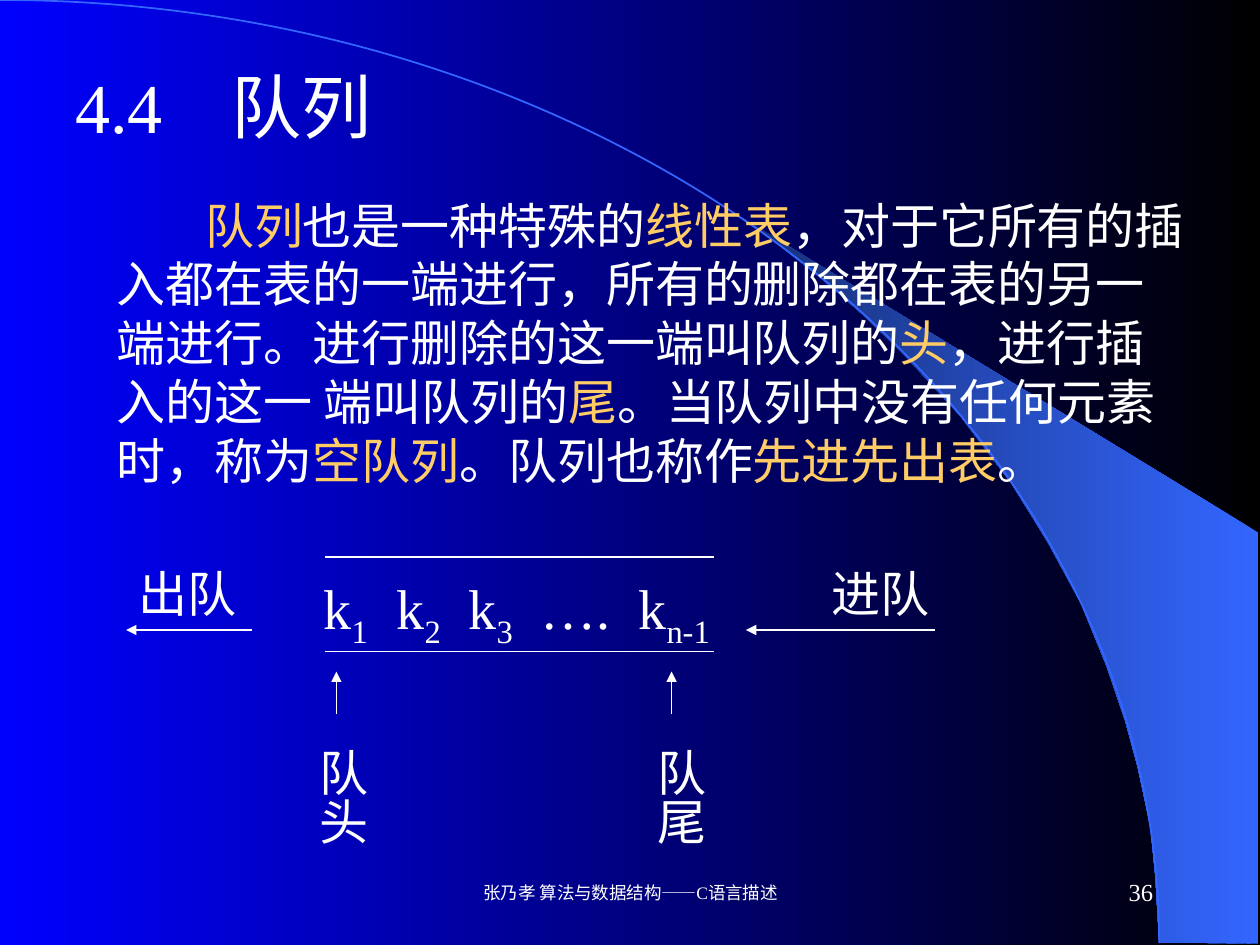
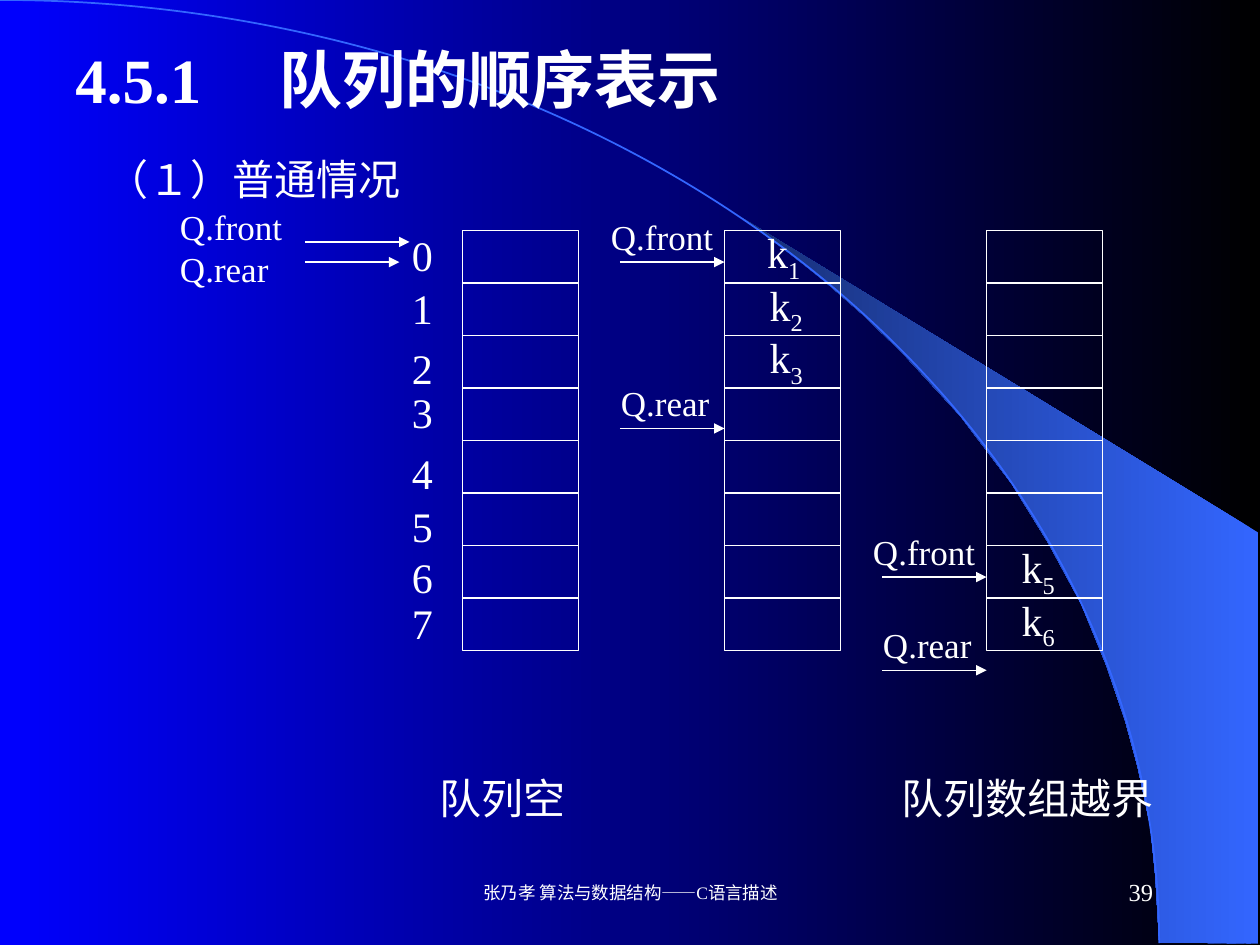
from pptx import Presentation, util as u
from pptx.dml.color import RGBColor
from pptx.enum import shapes, text as t
from pptx.oxml.ns import qn
from lxml import etree

HUES = {"white": "FFFFFF", "gold": "FFCC66", "sky": "3366FF",
        "navy": "172F75", "black": "000000", "blue": "0000FF"}
FONT = "Times New Roman"
HAIR = 0.74


def hue(name):
    return RGBColor.from_string(HUES[name])


def write(page, words, left, top, wide, high, size=28, bold=False, mark="gold",
          align="LEFT", mid=False, wrap=True, down=False, tabs=(), indent=0):
    """Add a text box; pieces between bars are gold, or subscripts if mark is "sub"."""
    box = page.shapes.add_textbox(*map(u.Inches, (left, top, wide, high)))
    frame = box.text_frame
    frame.word_wrap = wrap
    if mid:
        frame.vertical_anchor = t.MSO_ANCHOR.MIDDLE
    if down:
        frame._txBody.bodyPr.set("vert", "eaVert")
        frame.margin_left = frame.margin_right = u.Inches(0.05)
        frame.margin_top = frame.margin_bottom = u.Inches(0.1)
    for n, row in enumerate(words.split("\n")):
        para = frame.add_paragraph() if n else frame.paragraphs[0]
        para.alignment = getattr(t.PP_ALIGN, align)
        props = para._p.get_or_add_pPr()
        if indent:
            props.set("indent", str(u.Inches(indent)))
        if tabs:
            stops = etree.SubElement(props, qn("a:tabLst"))
            for stop in tabs:
                etree.SubElement(stops, qn("a:tab"), pos=str(u.Inches(stop)), algn="l")
        for i, piece in enumerate(row.split("|")):
            if not piece:
                continue
            run = para.add_run()
            run.text = piece
            font = run.font
            font.name, font.size, font.bold = FONT, u.Pt(size), bold
            font.color.rgb = hue("gold" if i % 2 and mark == "gold" else "white")
            if i % 2 and mark == "sub":
                font._element.set("baseline", "-25000")


def draw(page, x1, y1, x2, y2, arrow=False):
    """Add a thin white line, with an arrowhead at its end if asked."""
    line = page.shapes.add_connector(shapes.MSO_CONNECTOR.STRAIGHT,
                                     *map(u.Inches, (x1, y1, x2, y2)))
    line.line.color.rgb = hue("white")
    line.line.width = u.Pt(HAIR)
    if arrow:
        etree.SubElement(line.line._get_or_add_ln(), qn("a:tailEnd"), type="triangle")
    etree.SubElement(line._element.spPr, qn("a:effectLst"))


deck = Presentation()
deck.slide_width, deck.slide_height = u.Inches(10), u.Inches(7.5)

# Shared backdrop, title and footer
wedge = [(9.2, 7.48), (9.99, 7.49), (9.99, 4.23), (5.89, 1.73), (6.24, 1.99),
         (6.53, 2.22), (6.85, 2.5), (7.16, 2.8), (7.62, 3.3), (8.03, 3.84),
         (8.32, 4.31), (8.58, 4.79), (8.78, 5.28), (8.93, 5.72), (9.03, 6.09),
         (9.13, 6.56), (9.17, 6.96)]
spots = [(u.Inches(x), u.Inches(y)) for x, y in wedge]
heads = [
    dict(words="4.4\t队列", top=0.5, wide=3.67, high=0.67, size=40, tabs=[1.24], num="36"),
    dict(words="4.5.1\t队列的顺序表示", top=0.33, wide=8.5, high=0.58, size=36,
         bold=True, tabs=[1.62], num="39"),
]
pages = []
for head in heads:
    page = deck.slides.add_slide(deck.slide_layouts[6])
    pages.append(page)
    pen = page.shapes.build_freeform(*spots[0])
    pen.add_line_segments(spots[1:])
    beam = pen.convert_to_shape()
    beam.shadow.inherit = False
    beam.line.fill.background()
    curve = page.shapes.add_shape(shapes.MSO_SHAPE.ARC, *map(
        u.Inches, (-9.2, 0, 18.4, 14.97)))
    curve.shadow.inherit = False
    curve.fill.background()
    curve.line.color.rgb = hue("sky")
    curve.line.width = u.Pt(1)
    for fill, ends in ((page.background.fill, ("black", "blue")),
                       (beam.fill, ("sky", "navy"))):
        fill.gradient()
        fill.gradient_angle = 180
        for place, (stop, name) in enumerate(zip(fill.gradient_stops, ends)):
            stop.position = place
            stop.color.rgb = hue(name)
    num = head.pop("num")
    write(page, left=0.5, mid=True, **head)
    write(page, "张乃孝 算法与数据结构——C语言描述", 3.42, 6.83, 3.17, 0.5,
          size=10, align="CENTER", mid=True)
    write(page, num, 7.17, 6.83, 2.08, 0.5, size=14, align="RIGHT", mid=True)
queue, store = pages

# Queue: definition
write(queue, "|队列|也是一种特殊的|线性表|，对于它所有的插入都在表的一端进行，"
      "所有的删除都在表的另一端进行。进行删除的这一端叫队列的|头|，"
      "进行插入的这一 端叫队列的|尾|。当队列中没有任何元素时，称为|空队列|。"
      "队列也称作|先进先出表|。", 0.83, 1.5, 8.67, 2.44, indent=0.7)

# Queue: items between two rails
write(queue, "\tk|1|\tk|2|\tk|3|\t….\tk|n-1|", 2.25, 4.5, 3.67, 0.71, size=32,
      mark="sub", tabs=[0.22, 0.8, 1.37, 1.94, 2.72])
for y in (4.42, 5.17):
    draw(queue, 2.58, y, 5.67, y)

# Queue: head and tail, way out and way in
for words, left, x in (("队头", 2.34, 2.67), ("队尾", 5.02, 5.33)):
    write(queue, words, left, 5.84, 0.66, 1, down=True)
    draw(queue, x, 5.67, x, 5.33, arrow=True)
for words, left, wide, start, end in (("出队", 1, 1.08, 2, 1), ("进队", 6.5, 1, 7.42, 5.92)):
    write(queue, words, left, 4.42, wide, 0.57)
    draw(queue, start, 5, end, 5, arrow=True)

# Store: three arrays of eight cells
TOP, WIDE, CELL, COUNT = 1.83, 0.92, 5 / 12, 8
lefts = (3.67, 5.75, 7.83)
for left in lefts:
    rect = store.shapes.add_shape(shapes.MSO_SHAPE.RECTANGLE, *map(
        u.Inches, (left, TOP, WIDE, CELL * COUNT)))
    rect.shadow.inherit = False
    rect.fill.background()
    rect.line.color.rgb = hue("white")
    rect.line.width = u.Pt(HAIR)
    for n in range(1, COUNT):
        draw(store, left, TOP + n * CELL, left + WIDE, TOP + n * CELL)

# Store: index numbers and cell values
for n, y in enumerate((1.77, 2.19, 2.67, 3.02, 3.5, 3.92, 4.33, 4.69)):
    write(store, str(n), 3.17, y, 0.36, 0.5, size=24, wrap=False)
for n, left, row in ((1, 5.99, 0), (2, 6.01, 1), (3, 6.01, 2), (5, 8.01, 6), (6, 8.01, 7)):
    write(store, f"k|{n}|", left, TOP - 0.08 + row * CELL, 0.46, 0.56,
          size=24, mark="sub", wrap=False)

# Store: front and rear pointers
write(store, "Q.front\nQ.rear", 1.33, 1.58, 1.01, 0.77, size=20, wrap=False)
draw(store, 2.42, 1.92, 3.25, 1.92, arrow=True)
draw(store, 2.42, 2.08, 3.17, 2.08, arrow=True)
for left, front, rear in ((lefts[1], 2.08, 3.4), (lefts[2], 4.58, 5.32)):
    for words, back, wide, y in (("Q.front", 1, 1.01, front), ("Q.rear", 0.92, 0.9, rear)):
        write(store, words, left - back, y - 0.42, wide, 0.44, size=20, wrap=False)
        draw(store, left - 0.83, y, left, y, arrow=True)

# Store: captions
for words, left, top, wide in (("（１）普通情况", 0.75, 1.17, 2.53),
                               ("队列空", 3.39, 6.08, 1.2),
                               ("队列数组越界", 7.06, 6.08, 2.2)):
    write(store, words, left, top, wide, 0.5, size=24, wrap=False)

deck.save("out.pptx")
